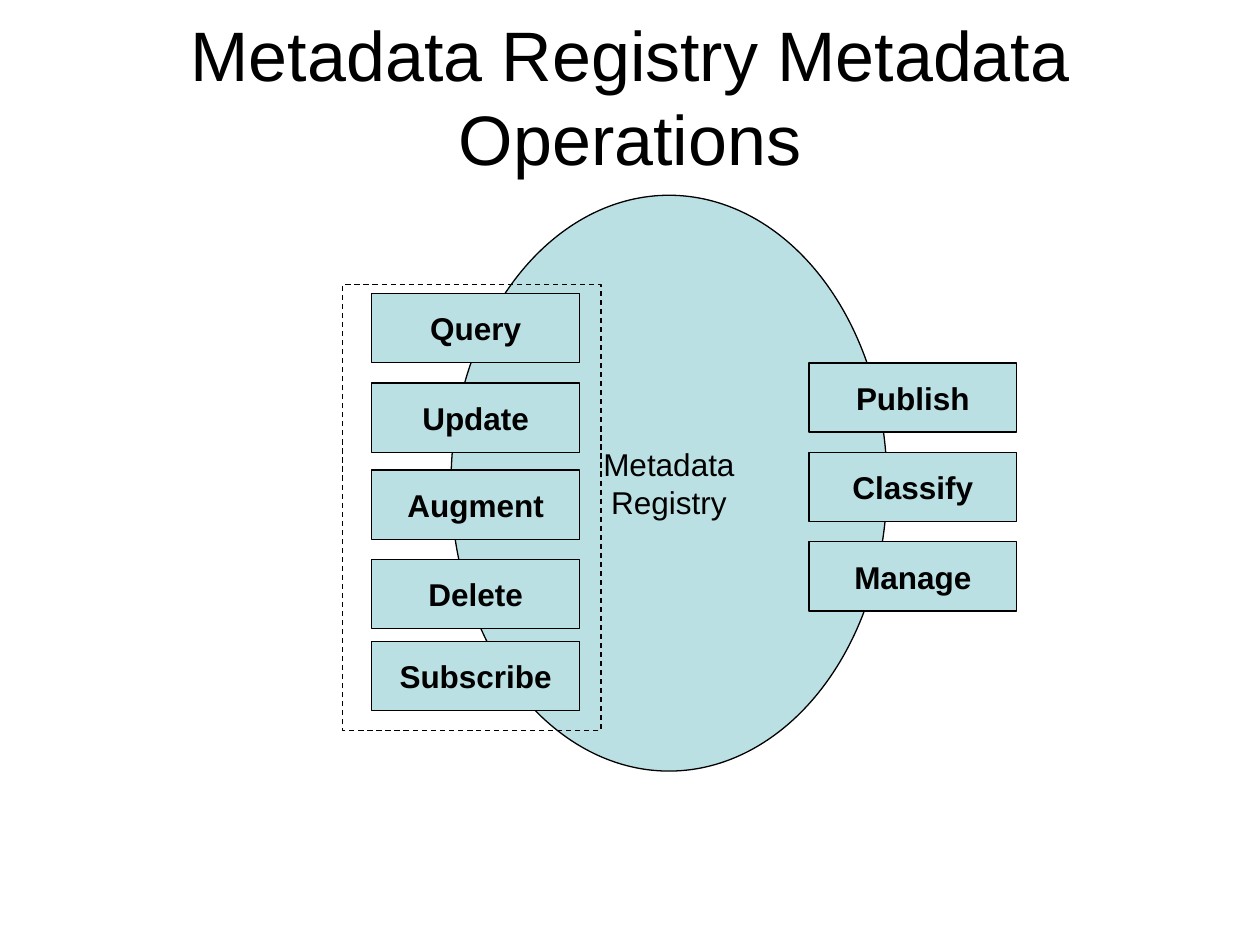
from pptx import Presentation
from pptx.dml.color import RGBColor
from pptx.enum.dml import MSO_LINE
from pptx.enum.shapes import MSO_SHAPE
from pptx.enum.text import MSO_ANCHOR, PP_ALIGN
from pptx.util import Inches, Pt

COLORS = {"ink": "000000", "panel": "BBE0E3"}


class RegistrySlide:
    font_name = "Arial"
    line_width = Pt(0.75)

    def __init__(self, presentation):
        self.slide = presentation.slides.add_slide(presentation.slide_layouts[6])

    def color(self, key):
        return RGBColor.from_string(COLORS[key])

    def set_label(self, shape, lines, size, bold=False, wrap=False):
        frame = shape.text_frame
        frame_format = {
            "word_wrap": wrap,
            "vertical_anchor": MSO_ANCHOR.MIDDLE,
            "margin_left": Inches(0.1),
            "margin_right": Inches(0.1),
            "margin_top": Inches(0.05),
            "margin_bottom": Inches(0.05),
        }
        for name, value in frame_format.items():
            setattr(frame, name, value)
        frame.text = "\n".join(lines)
        font_format = {"name": self.font_name, "size": Pt(size), "bold": bold}
        for paragraph in frame.paragraphs:
            paragraph.alignment = PP_ALIGN.CENTER
            for name, value in font_format.items():
                setattr(paragraph.font, name, value)
            paragraph.font.color.rgb = self.color("ink")

    def title(self, text, *bounds):
        heading = self.slide.shapes.add_textbox(*map(Inches, bounds))
        self.set_label(heading, [text], 40, wrap=True)

    def outline(self, kind, *bounds):
        shape = self.slide.shapes.add_shape(kind, *map(Inches, bounds))
        shape.shadow.inherit = False
        shape.line.color.rgb = self.color("ink")
        shape.line.width = self.line_width
        return shape

    def panel(self, kind, lines, *bounds, bold=False):
        shape = self.outline(kind, *bounds)
        shape.fill.solid()
        shape.fill.fore_color.rgb = self.color("panel")
        self.set_label(shape, lines, 18, bold=bold)

    def dashed_group(self, *bounds):
        group = self.outline(MSO_SHAPE.RECTANGLE, *bounds)
        group.fill.background()
        group.line.dash_style = MSO_LINE.DASH

    def operations(self, left, tops):
        for operation, top in tops.items():
            self.panel(MSO_SHAPE.RECTANGLE, [operation], left, top, 1.65, 0.55, bold=True)


def main():
    presentation = Presentation()
    presentation.slide_width = Inches(10)
    presentation.slide_height = Inches(7.5)

    registry = RegistrySlide(presentation)
    registry.panel(MSO_SHAPE.OVAL, ["Metadata", "Registry"], 3.58, 1.55, 3.46, 4.57)
    registry.title("Metadata Registry Metadata Operations", 0, 0.13, 10, 1.25)
    registry.dashed_group(2.72, 2.26, 2.05, 3.54)
    registry.operations(
        2.95,
        {"Query": 2.33, "Update": 3.04, "Augment": 3.73, "Delete": 4.44, "Subscribe": 5.09},
    )
    registry.operations(6.42, {"Publish": 2.88, "Classify": 3.59, "Manage": 4.3})

    presentation.save("out.pptx")


if __name__ == "__main__":
    main()
